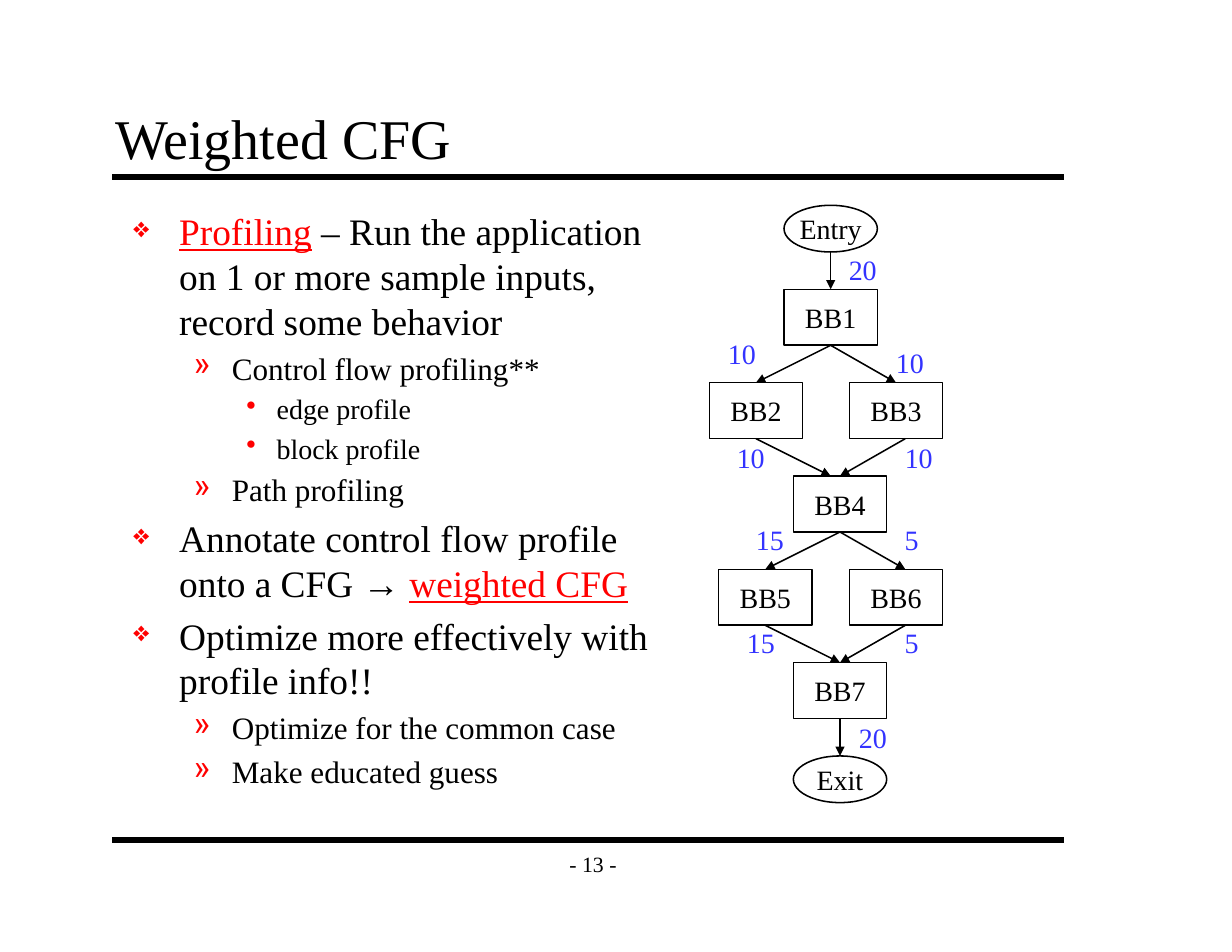
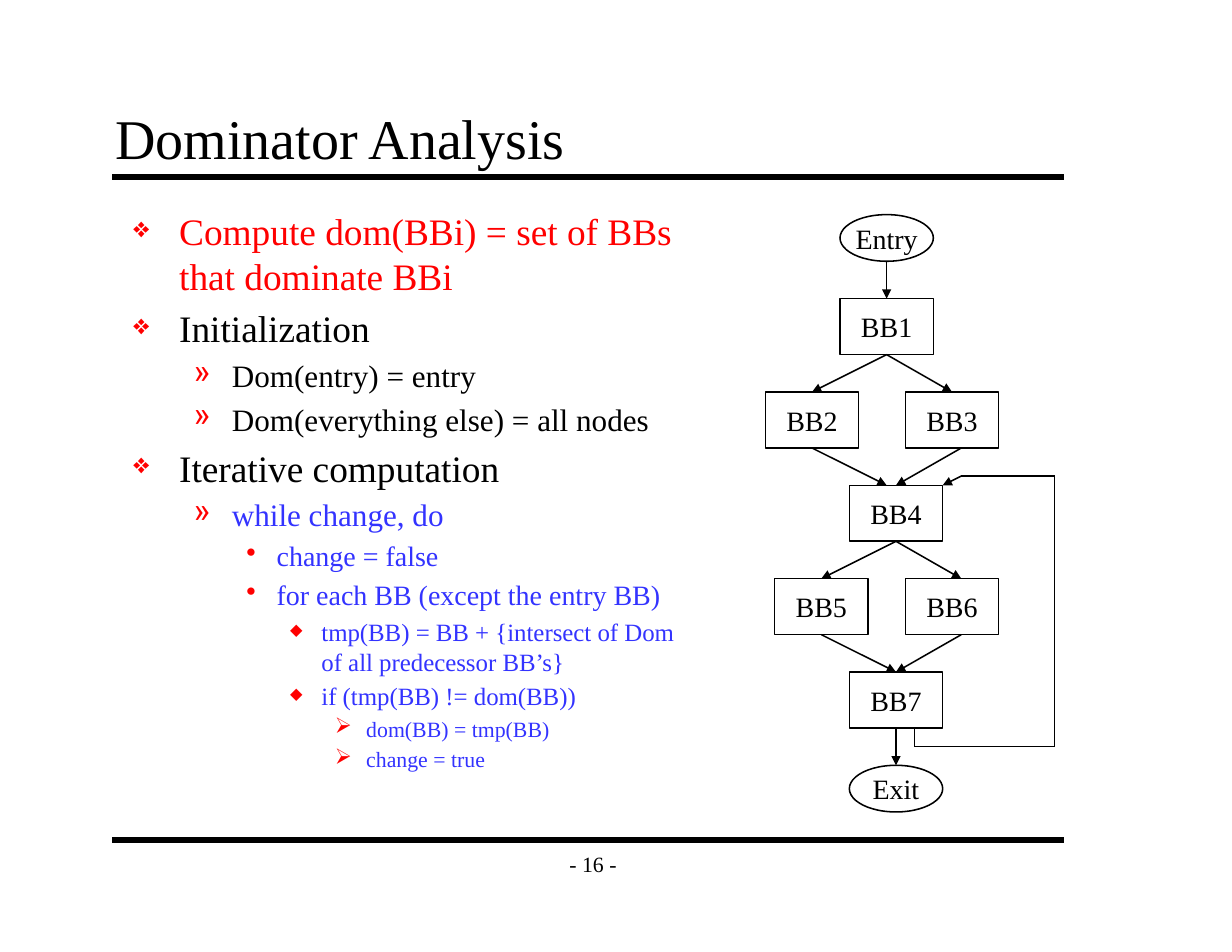
from dataclasses import dataclass
from itertools import pairwise
from typing import Any, NamedTuple

from lxml import etree
from pptx import Presentation
from pptx import util as u
from pptx.dml import color
from pptx.enum import shapes, text
from pptx.oxml import ns

COLORS = {"ink": "000000", "paper": "FFFFFF", "accent": "FF0000", "code": "3333FF"}
FONT = "Times New Roman"
GRID = 12
NODE_WIDTH = 10
NODE_SIZE = 18
PADDING = {
    "margin_left": u.Inches(0.11),
    "margin_right": u.Inches(0.11),
    "margin_top": u.Inches(0.06),
    "margin_bottom": u.Inches(0.06),
}


class Point(NamedTuple):
    x: float
    y: float


class Box(NamedTuple):
    left: float
    top: float
    width: float
    height: float


class Span(NamedTuple):
    words: str
    color: str = "ink"
    underline: bool = False


class Level(NamedTuple):
    size: int
    indent: float
    hanging: float
    bullet: str
    bullet_percent: int = 100


class Item(NamedTuple):
    level: int
    spans: list[Span]


class Node(NamedTuple):
    x: int
    y: int
    height: int = 6
    outline: Any = shapes.MSO_SHAPE.RECTANGLE


class Edge(NamedTuple):
    source: str
    target: str
    weight: str
    weight_at: Point
    leave: int = 0
    arrive: int = 0


@dataclass
class Page:
    title: str
    number: int
    body_width: float
    items: list[Item]
    graph_shift: Point
    weighted: bool = False
    back_edge: bool = False


LEVELS = [
    Level(24, 0.41, 0.41, "❖", 75),
    Level(20, 0.88, 0.34, "»"),
    Level(18, 1.28, 0.27, "•"),
    Level(16, 1.68, 0.28, "◆", 65),
    Level(14, 2.08, 0.28, "➢"),
]

OVAL = shapes.MSO_SHAPE.OVAL
NODES = {
    "Entry": Node(84, 22, 5, OVAL),
    "BB1": Node(84, 31),
    "BB2": Node(76, 41),
    "BB3": Node(91, 41),
    "BB4": Node(85, 51),
    "BB5": Node(77, 61),
    "BB6": Node(91, 61),
    "BB7": Node(85, 71),
    "Exit": Node(85, 81, 5, OVAL),
}
EDGES = [
    Edge("Entry", "BB1", "20", Point(7.48, 2.21)),
    Edge("BB1", "BB2", "10", Point(6.4, 2.96)),
    Edge("BB1", "BB3", "10", Point(7.9, 3.04)),
    Edge("BB2", "BB4", "10", Point(6.48, 3.88), arrive=-1),
    Edge("BB3", "BB4", "10", Point(7.98, 3.88), leave=1),
    Edge("BB4", "BB5", "15", Point(6.65, 4.62)),
    Edge("BB4", "BB6", "5", Point(7.98, 4.62), arrive=1),
    Edge("BB5", "BB7", "15", Point(6.57, 5.54)),
    Edge("BB6", "BB7", "5", Point(7.98, 5.54), leave=1),
    Edge("BB7", "Exit", "20", Point(7.57, 6.38)),
]
BACK_EDGE = [
    Point(92, 77), Point(92, 79), Point(107, 79),
    Point(107, 50), Point(97, 50), Point(95, 51),
]

PAGES = [
    Page("Weighted CFG", 13, 4.92, [
        Item(0, [
            Span("Profiling", "accent", True),
            Span(" – Run the application on 1 or more sample inputs, record some behavior"),
        ]),
        Item(1, [Span("Control flow profiling**")]),
        Item(2, [Span("edge profile")]),
        Item(2, [Span("block profile")]),
        Item(1, [Span("Path profiling")]),
        Item(0, [
            Span("Annotate control flow profile onto a CFG → "),
            Span("weighted CFG", "accent", True),
        ]),
        Item(0, [Span("Optimize more effectively with profile info!!")]),
        Item(1, [Span("Optimize for the common case")]),
        Item(1, [Span("Make educated guess")]),
    ], Point(0, 0), weighted=True),
    Page("Dominator Analysis", 16, 5.08, [
        Item(0, [Span("Compute dom(BBi) = set of BBs that dominate BBi", "accent")]),
        Item(0, [Span("Initialization")]),
        Item(1, [Span("Dom(entry) = entry")]),
        Item(1, [Span("Dom(everything else) = all nodes")]),
        Item(0, [Span("Iterative computation")]),
        Item(1, [Span("while change, do", "code")]),
        Item(2, [Span("change = false", "code")]),
        Item(2, [Span("for each BB (except the entry BB)", "code")]),
        Item(3, [Span("tmp(BB) = BB + {intersect of Dom of all predecessor BB’s}", "code")]),
        Item(3, [Span("if (tmp(BB) != dom(BB))", "code")]),
        Item(4, [Span("dom(BB) = tmp(BB)", "code")]),
        Item(4, [Span("change = true", "code")]),
    ], Point(6, 1), back_edge=True),
]


def rgb(name: str) -> color.RGBColor:
    return color.RGBColor.from_string(COLORS[name])


def apply(target: Any, values: dict[str, Any]) -> None:
    for key, value in values.items():
        setattr(target, key, value)


def add_element(parent: Any, tag: str, **attributes: str) -> Any:
    return etree.SubElement(parent, ns.qn(tag), attributes)


def add_span(paragraph: Any, span: Span, size: int) -> None:
    run = paragraph.add_run()
    run.text = span.words
    apply(run.font, {"name": FONT, "size": u.Pt(size), "underline": span.underline})
    run.font.color.rgb = rgb(span.color)


def add_text(slide: Any, box: Box, span: Span, size: int, frame_values: dict[str, Any],
             align: Any = text.PP_ALIGN.LEFT) -> None:
    frame = slide.shapes.add_textbox(*map(u.Inches, box)).text_frame
    apply(frame, {"word_wrap": False, **frame_values})
    frame.paragraphs[0].alignment = align
    add_span(frame.paragraphs[0], span, size)


def add_line(slide: Any, start: Point, end: Point, width: float = 1, arrow: bool = False) -> None:
    line = slide.shapes.add_connector(
        shapes.MSO_CONNECTOR.STRAIGHT, *map(u.Inches, (*start, *end)))
    line.line.width = u.Pt(width)
    line.line.color.rgb = rgb("ink")
    if arrow:
        add_element(line.line._get_or_add_ln(), "a:tailEnd", type="triangle")
    add_element(line._element.spPr, "a:effectLst")


def add_frame(slide: Any, page: Page) -> None:
    for y in (1.58, 7.5):
        add_line(slide, Point(1, y), Point(9.5, y), 4)
    add_text(slide, Box(4.92, 7.5, 0.75, 0.42), Span(f"- {page.number} -"), 14,
             {**PADDING, "vertical_anchor": text.MSO_ANCHOR.MIDDLE}, text.PP_ALIGN.CENTER)
    add_text(slide, Box(0.92, 0.91, 8.5, 0.67), Span(page.title), 36,
             {**PADDING, "word_wrap": True, "vertical_anchor": text.MSO_ANCHOR.BOTTOM})


def add_item(paragraph: Any, item: Item) -> None:
    level = LEVELS[item.level]
    paragraph.level = item.level
    properties = paragraph._p.get_or_add_pPr()
    properties.set("marL", str(u.Inches(level.indent)))
    properties.set("indent", str(-u.Inches(level.hanging)))
    add_element(add_element(properties, "a:spcBef"), "a:spcPct", val="20000")
    add_element(add_element(properties, "a:buClr"), "a:srgbClr", val=COLORS["accent"])
    add_element(properties, "a:buSzPct", val=str(level.bullet_percent * 1000))
    add_element(properties, "a:buChar", char=level.bullet)
    for span in item.spans:
        add_span(paragraph, span, level.size)


def add_body(slide: Any, page: Page) -> None:
    box = Box(1.08, 1.8, page.body_width, 5.7)
    frame = slide.shapes.add_textbox(*map(u.Inches, box)).text_frame
    apply(frame, {**PADDING, "word_wrap": True})
    for index, item in enumerate(page.items):
        add_item(frame.add_paragraph() if index else frame.paragraphs[0], item)


def add_node(slide: Any, label: str, node: Node, shift: Point) -> None:
    cells = (node.x + shift.x, node.y + shift.y, NODE_WIDTH, node.height)
    block = slide.shapes.add_shape(node.outline, *(u.Inches(cell / GRID) for cell in cells))
    block.shadow.inherit = False
    block.fill.background()
    block.line.width = u.Pt(1)
    block.line.color.rgb = rgb("ink")
    apply(block.text_frame, {"word_wrap": False, "vertical_anchor": text.MSO_ANCHOR.MIDDLE})
    paragraph = block.text_frame.paragraphs[0]
    paragraph.alignment = text.PP_ALIGN.CENTER
    add_span(paragraph, Span(label), NODE_SIZE)


def add_graph(slide: Any, page: Page) -> None:
    def place(x: float, y: float) -> Point:
        return Point((x + page.graph_shift.x) / GRID, (y + page.graph_shift.y) / GRID)

    for label, node in NODES.items():
        add_node(slide, label, node, page.graph_shift)
    for edge in EDGES:
        source, target = NODES[edge.source], NODES[edge.target]
        start = place(source.x + NODE_WIDTH / 2 + edge.leave, source.y + source.height)
        end = place(target.x + NODE_WIDTH / 2 + edge.arrive, target.y)
        add_line(slide, start, end, arrow=True)
        if page.weighted:
            box = Box(*edge.weight_at, 0.21 + 0.12 * len(edge.weight), 0.4)
            add_text(slide, box, Span(edge.weight, "code"), NODE_SIZE, {})
    if page.back_edge:
        for start, end in pairwise(BACK_EDGE):
            add_line(slide, place(*start), place(*end), arrow=end == BACK_EDGE[-1])


def main() -> None:
    deck = Presentation()
    apply(deck, {"slide_width": u.Inches(11), "slide_height": u.Inches(8.5)})
    for page in PAGES:
        slide = deck.slides.add_slide(deck.slide_layouts[6])
        slide.background.fill.solid()
        slide.background.fill.fore_color.rgb = rgb("paper")
        add_frame(slide, page)
        add_body(slide, page)
        add_graph(slide, page)
    deck.save("out.pptx")


if __name__ == "__main__":
    main()
